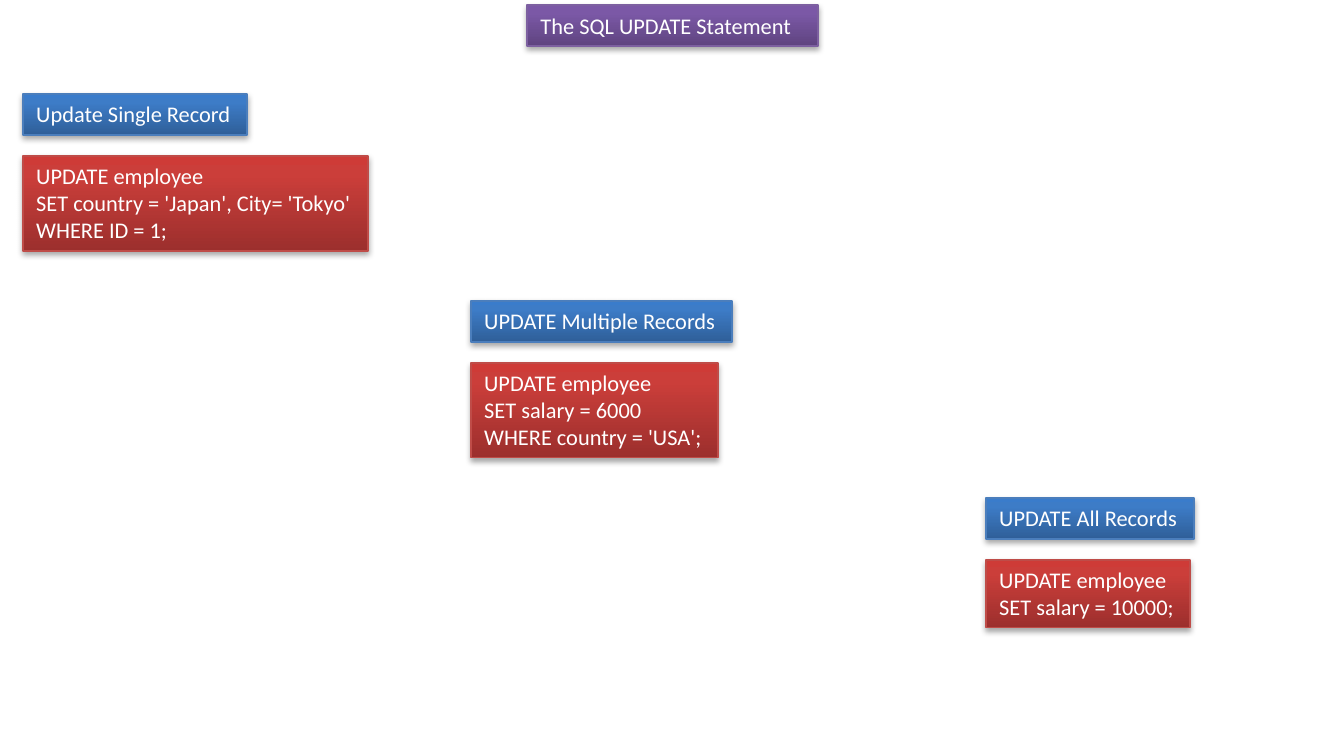
from lxml.etree import fromstring
from pptx import Presentation
from pptx.dml.color import RGBColor as RGB
from pptx.enum.shapes import MSO_SHAPE as Shape
from pptx.enum.text import MSO_ANCHOR as Anchor, MSO_AUTO_SIZE as Fit, PP_ALIGN as Align
from pptx.util import Inches, Pt

# Content: left, top, head width, code width in px
TITLE = "The SQL UPDATE Statement"
CARDS = [
    (23, 94, 224, 345, "Update Single Record",
     ["UPDATE employee", "SET country = 'Japan', City= 'Tokyo'", "WHERE ID = 1;"]),
    (471, 301, 261, 247, "UPDATE Multiple Records",
     ["UPDATE employee", "SET salary = 6000", "WHERE country = 'USA';"]),
    (986, 498, 208, 204, "UPDATE All Records",
     ["UPDATE employee", "SET salary = 10000;"]),
]

# Theme: gradient colours from bottom to top, then the line colour
THEME = {
    "title": ("5F4480", "7B58A6", "7C57A8", "7D60A0"),
    "head": ("2F5F99", "3D7CC7", "3A7CCB", "4B7EBC"),
    "code": ("9C2F2D", "CB3E3A", "CE3B37", "BF4C48"),
    "font": {"name": "Calibri", "size": Pt(12), "bold": False},
    "ink": RGB(255, 255, 255),
    "line": Pt(0.75),
}
STOPS = (0, 80, 100)
PX = 914400 / 134.4
ROW, PAD, STEP = 27, 14, 62
NS = 'xmlns:a="http://schemas.openxmlformats.org/drawingml/2006/main"'
SHADOW = (f'<a:effectLst {NS}><a:outerShdw blurRad="40000" dist="23000" '
          'dir="5400000" rotWithShape="0"><a:srgbClr val="000000">'
          '<a:alpha val="35000"/></a:srgbClr></a:outerShdw></a:effectLst>')


def paint(box, kind):
    """Give the box its gradient, line and shadow."""
    *shades, edge = THEME[kind]
    stops = "".join(f'<a:gs pos="{pos * 1000}"><a:srgbClr val="{shade}"/></a:gs>'
                    for pos, shade in zip(STOPS, shades))
    props = box._element.spPr
    props.append(fromstring(f'<a:gradFill {NS} rotWithShape="1"><a:gsLst>{stops}'
                            '</a:gsLst><a:lin ang="16200000" scaled="0"/></a:gradFill>'))
    box.line.color.rgb = RGB.from_string(edge)
    box.line.width = THEME["line"]
    props.append(fromstring(SHADOW))


def write(box, lines, wrap, fit):
    """Fill the box with one paragraph for each line."""
    frame = box.text_frame
    frame.text = "\n".join(lines)
    form = {"word_wrap": wrap, "auto_size": fit, "vertical_anchor": Anchor.TOP,
            "margin_left": Inches(0.1), "margin_right": Inches(0.1),
            "margin_top": Inches(0.05), "margin_bottom": Inches(0.05)}
    for key, value in form.items():
        setattr(frame, key, value)
    for para in frame.paragraphs:
        para.alignment = Align.LEFT
        for run in para.runs:
            run.font.color.rgb = THEME["ink"]
            for key, value in THEME["font"].items():
                setattr(run.font, key, value)


def place(box, left, top, width, lines, kind, wrap=False, fit=Fit.SHAPE_TO_FIT_TEXT):
    """Set the box out; its height follows its line count."""
    spot = {"left": left, "top": top, "width": width,
            "height": PAD + ROW * len(lines)}
    for key, value in spot.items():
        setattr(box, key, round(value * PX))
    paint(box, kind)
    write(box, lines, wrap, fit)


def main():
    deck = Presentation()
    deck.slide_width, deck.slide_height = Inches(10), Inches(5.5)
    slide = deck.slides.add_slide(deck.slide_layouts[5])
    shapes = slide.shapes

    # Title: a fixed height, as a placeholder grows to its layout's size
    place(shapes.title, 527, 5, 291, [TITLE], "title", wrap=True, fit=Fit.NONE)

    # Cards: code below its head
    for left, top, wide, span, head, code in CARDS:
        for kind, drop, width, lines in (("code", STEP, span, code),
                                         ("head", 0, wide, [head])):
            box = shapes.add_shape(Shape.RECTANGLE, 0, 0, 0, 0)
            place(box, left, top + drop, width, lines, kind)

    deck.save("out.pptx")


if __name__ == "__main__":
    main()
